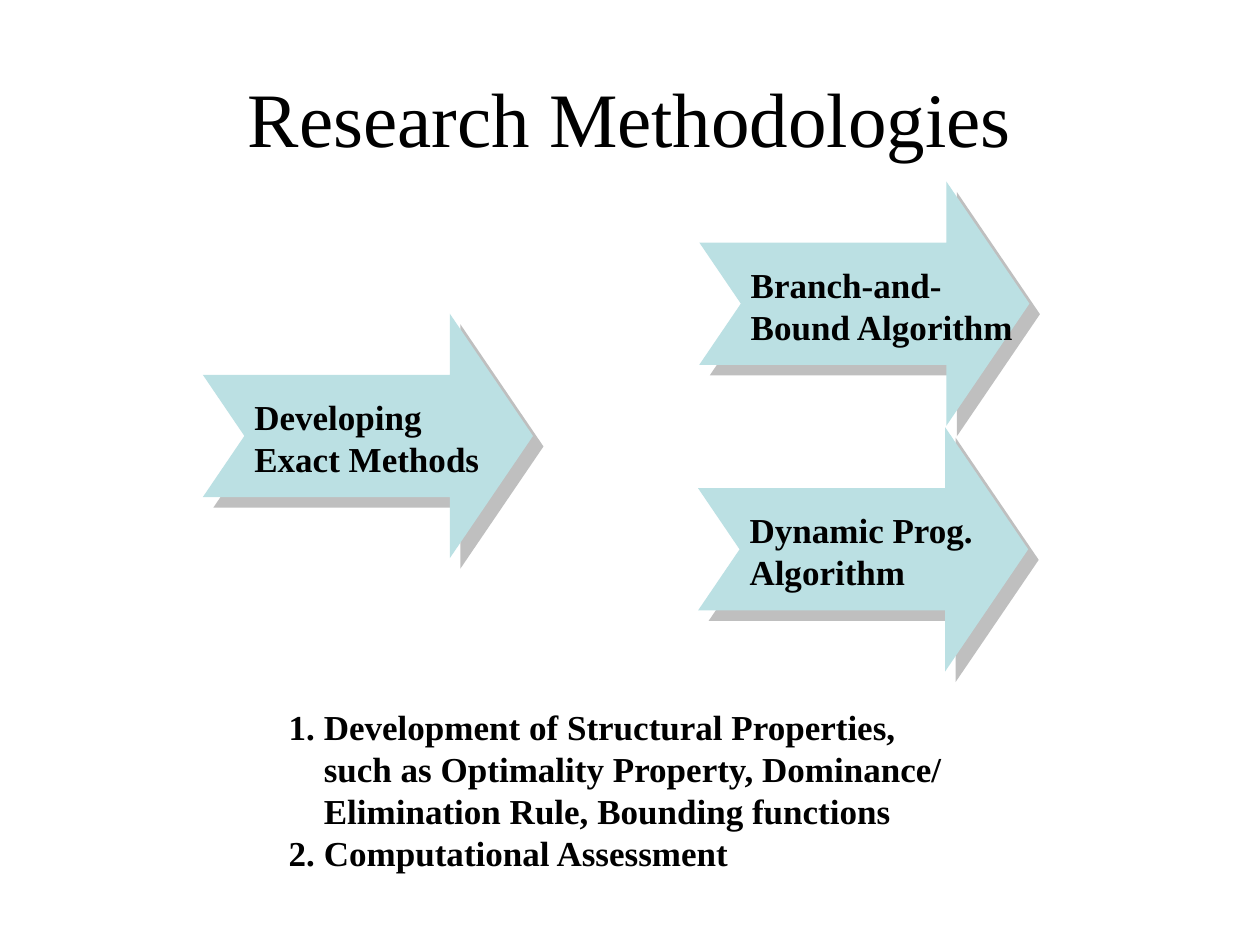
from lxml.etree import SubElement
from pptx import Presentation
from pptx.dml.color import RGBColor
from pptx.enum.shapes import MSO_SHAPE as Shape
from pptx.enum.text import MSO_ANCHOR as Anchor, MSO_AUTO_SIZE as AutoSize, PP_ALIGN as Align
from pptx.oxml.ns import qn
from pptx.util import Inches, Pt

FONT = "Times New Roman"
ARROW_WIDTH, ARROW_HEIGHT = 2.62, 1.94
LABEL_OFFSET_X, LABEL_OFFSET_Y = 0.31, 0.6
LABEL_HEIGHT = 0.77
NUMBER_INDENT = 0.28


def color(value):
    return RGBColor.from_string(value)


def place(shape, left, top, width, height):
    shape.left, shape.top = Inches(left), Inches(top)
    shape.width, shape.height = Inches(width), Inches(height)


def style(paragraph, size, bold, align=Align.LEFT):
    paragraph.alignment = align
    paragraph.space_before = Pt(0)
    font = paragraph.font
    font.name, font.size, font.bold = FONT, Pt(size), bold
    font.color.rgb = color("000000")


def add_offset_shadow(shape):
    """Cast a half-transparent grey shadow down and to the right."""
    shape.shadow.inherit = False
    effects = shape._element.spPr.find(qn("a:effectLst"))
    shadow = SubElement(effects, qn("a:outerShdw"), dist=str(Pt(8.5)),
                        dir=str(45 * 60000), algn="ctr", rotWithShape="0")
    shade = SubElement(shadow, qn("a:srgbClr"), val="808080")
    SubElement(shade, qn("a:alpha"), val="50000")


def set_title(slide, text):
    title = slide.shapes.title
    place(title, 0.5, 0.3, 9, 1.25)
    title.text_frame.text = text
    title.text_frame.vertical_anchor = Anchor.MIDDLE
    style(title.text_frame.paragraphs[0], 44, False, Align.CENTER)


def add_arrow(slide, left, top, label_width, text):
    group = slide.shapes.add_group_shape()
    arrow = group.shapes.add_shape(
        Shape.NOTCHED_RIGHT_ARROW, Inches(left), Inches(top),
        Inches(ARROW_WIDTH), Inches(ARROW_HEIGHT))
    arrow.adjustments[0], arrow.adjustments[1] = 0.5, 0.34
    arrow.fill.solid()
    arrow.fill.fore_color.rgb = color("BBE0E3")
    arrow.line.fill.background()
    add_offset_shadow(arrow)

    label = group.shapes.add_textbox(
        Inches(left + LABEL_OFFSET_X), Inches(top + LABEL_OFFSET_Y),
        Inches(label_width), Inches(LABEL_HEIGHT))
    frame = label.text_frame
    frame.word_wrap = False
    frame.auto_size = AutoSize.SHAPE_TO_FIT_TEXT
    frame.text = text
    for paragraph in frame.paragraphs:
        style(paragraph, 20, True)


def set_numbered_list(slide, items):
    body = slide.placeholders[1]
    place(body, 2.19, 5.55, 6.69, 1.43)
    frame = body.text_frame
    frame.text = "\n".join(items)
    frame.auto_size = AutoSize.NONE
    frame.vertical_anchor = Anchor.TOP
    for paragraph in frame.paragraphs:
        properties = paragraph._p.get_or_add_pPr()
        properties.set("marL", str(Inches(NUMBER_INDENT)))
        properties.set("indent", str(-Inches(NUMBER_INDENT)))
        SubElement(properties, qn("a:buFont"), typeface=FONT)
        SubElement(properties, qn("a:buAutoNum"), type="arabicPeriod")
        style(paragraph, 20, True)


def main():
    presentation = Presentation()
    presentation.slide_width, presentation.slide_height = Inches(10), Inches(7.5)
    slide = presentation.slides.add_slide(presentation.slide_layouts[1])

    set_title(slide, "Research Methodologies")

    # Overall approach on the left, its two algorithms on the right
    add_arrow(slide, 1.61, 2.49, 2.02, "Developing\nExact Methods")
    add_arrow(slide, 5.55, 1.44, 2.29, "Branch-and-\nBound Algorithm")
    add_arrow(slide, 5.54, 3.39, 2.05, "Dynamic Prog.\nAlgorithm")

    # Steps shared by both algorithms
    set_numbered_list(slide, [
        "Development of Structural Properties,\v"
        "such as Optimality Property, Dominance/\v"
        "Elimination Rule, Bounding functions",
        "Computational Assessment",
    ])

    presentation.save("out.pptx")


if __name__ == "__main__":
    main()
